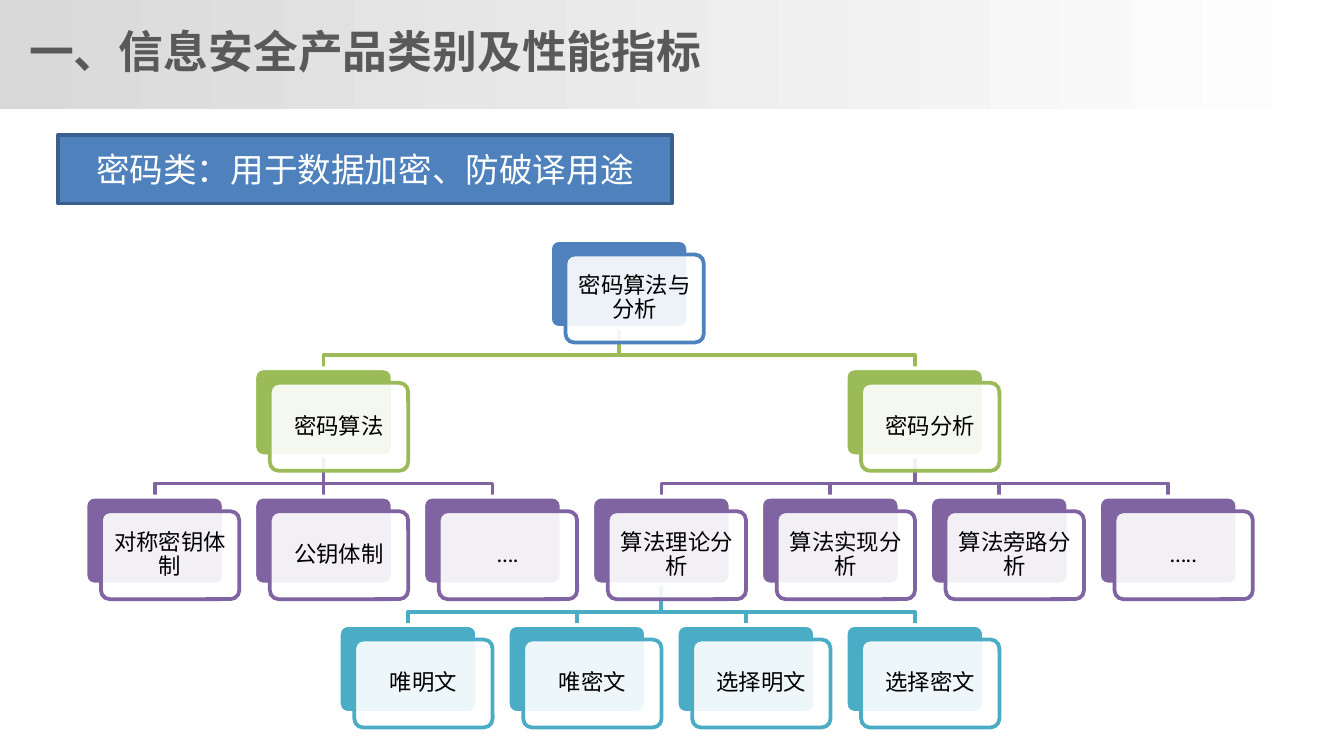
from pptx import Presentation
from pptx.dml.color import RGBColor
from pptx.enum.shapes import MSO_CONNECTOR as Link, MSO_SHAPE as Shape
from pptx.enum.text import MSO_ANCHOR as Anchor, PP_ALIGN as Align
from pptx.oxml.ns import qn
from pptx.util import Pt
from lxml import etree

LEFT, TOP = 45.8, 128.6  # corner of column 0, level 0
STEP, DROP = 90.5, 68.75  # column and level pitch
WIDE, HIGH = 74.1, 47.1
SHIFT_X, SHIFT_Y = 8.3, 7.8  # front card against back card
BEND = 14.6

HUES = ["4F81BD", "9BBB59", "8064A2", "4BACC6"]
# Each node: text, column, children
TREE = ("密码算法与分析", 2.75, [
    ("密码算法", 1, [
        ("对称密钥体制", 0, []),
        ("公钥体制", 1, []),
        ("….", 2, []),
    ]),
    ("密码分析", 4.5, [
        ("算法理论分析", 3, [
            ("唯明文", 1.5, []),
            ("唯密文", 2.5, []),
            ("选择明文", 3.5, []),
            ("选择密文", 4.5, []),
        ]),
        ("算法实现分析", 4, []),
        ("算法旁路分析", 5, []),
        ("…..", 6, []),
    ]),
])


def color(code):
    return RGBColor.from_string(code)


class Deck:
    font = "Calibri"
    stroke = 2

    def __init__(self):
        self.prs = Presentation()
        self.prs.slide_width = Pt(720)
        self.prs.slide_height = Pt(405)
        self.slide = self.prs.slides.add_slide(self.prs.slide_layouts[6])

    def box(self, kind, x, y, w, h, fill, line=None):
        shape = self.slide.shapes.add_shape(kind, Pt(x), Pt(y), Pt(w), Pt(h))
        shape.shadow.inherit = False
        shape.fill.solid()
        shape.fill.fore_color.rgb = color(fill)
        if line:
            self.edge(shape, line)
        else:
            shape.line.fill.background()
        return shape

    def edge(self, shape, hue):
        shape.line.color.rgb = color(hue)
        shape.line.width = Pt(self.stroke)

    def words(self, shape, text, size, hue, align=Align.CENTER, font=None):
        frame = shape.text_frame
        frame.word_wrap = True
        para = frame.paragraphs[0]
        para.text = text
        para.alignment = align
        para.font.name = font or self.font
        para.font.size = Pt(size)
        para.font.color.rgb = color(hue)
        return para

    def band(self, w, h, start, end):
        """Draw a bar fading from left to right."""
        fill = self.box(Shape.RECTANGLE, 0, 0, w, h, start).fill
        fill.gradient()
        fill.gradient_angle = 0
        for stop, hue in zip(fill.gradient_stops, (start, end)):
            stop.color.rgb = color(hue)
        fill.gradient_stops[0].position = 0
        fill.gradient_stops[1].position = 1

    def title(self, text, x, y, w, h):
        shape = self.slide.shapes.add_textbox(Pt(x), Pt(y), Pt(w), Pt(h))
        para = self.words(shape, text, 24, "595959", Align.LEFT,
                          "Noto Sans CJK SC")
        para.font.bold = True

    def label(self, text, x, y, w, h):
        shape = self.box(Shape.RECTANGLE, x, y, w, h, HUES[0], "3A5F8C")
        shape.text_frame.vertical_anchor = Anchor.MIDDLE
        self.words(shape, text, 18, "FFFFFF")

    def branch(self, x1, y1, x2, y2, hue):
        """Join parent to child, with a bend when they are not in line."""
        shapes = self.slide.shapes
        if x1 == x2:
            line = shapes.add_connector(Link.STRAIGHT, Pt(x1), Pt(y1),
                                        Pt(x2), Pt(y2))
            self.edge(line, hue)
            etree.SubElement(line._element.spPr, qn("a:effectLst"))
        else:
            bend = y1 + BEND
            route = shapes.build_freeform(Pt(x1), Pt(y1))
            points = [(x1, bend), (x2, bend), (x2, y2)]
            route.add_line_segments([(Pt(x), Pt(y)) for x, y in points],
                                    close=False)
            line = route.convert_to_shape()
            line.shadow.inherit = False
            line.fill.background()
            self.edge(line, hue)

    def card(self, text, x, y, hue):
        """Draw a solid card with a see-through text card before it."""
        back = self.box(Shape.ROUNDED_RECTANGLE, x, y, WIDE, HIGH,
                        hue, "FFFFFF")
        front = self.box(Shape.ROUNDED_RECTANGLE, x + SHIFT_X, y + SHIFT_Y,
                         WIDE, HIGH, "FFFFFF", hue)
        for shape in (back, front):
            shape.adjustments[0] = 0.1
        tint = front._element.spPr.find(qn("a:solidFill"))[0]
        etree.SubElement(tint, qn("a:alpha"), val="90000")
        frame = front.text_frame
        frame.vertical_anchor = Anchor.MIDDLE
        frame.margin_left = frame.margin_right = Pt(3.6)
        frame.margin_top = frame.margin_bottom = Pt(3.6)
        self.words(front, text, 12, "000000").line_spacing = 0.9


def place(col, level):
    return LEFT + STEP * col, TOP + DROP * level


def links(deck, node, level=0):
    _, col, kids = node
    x, y = place(col, level)
    for kid in kids:
        end, top = place(kid[1], level + 1)
        deck.branch(x + WIDE / 2, y + HIGH, end + WIDE / 2, top,
                    HUES[level + 1])
        links(deck, kid, level + 1)


def cards(deck, node, level=0):
    text, col, kids = node
    deck.card(text, *place(col, level), HUES[level])
    for kid in kids:
        cards(deck, kid, level + 1)


def main():
    deck = Deck()
    deck.band(720, 58.5, "D9D9D9", "FFFFFF")
    deck.title("一、信息安全产品类别及性能指标", 8.6, 9.4, 621, 36)
    links(deck, TREE)
    cards(deck, TREE)
    deck.label("密码类：用于数据加密、防破译用途", 31, 72.5, 329, 36.5)
    deck.prs.save("out.pptx")


if __name__ == "__main__":
    main()
